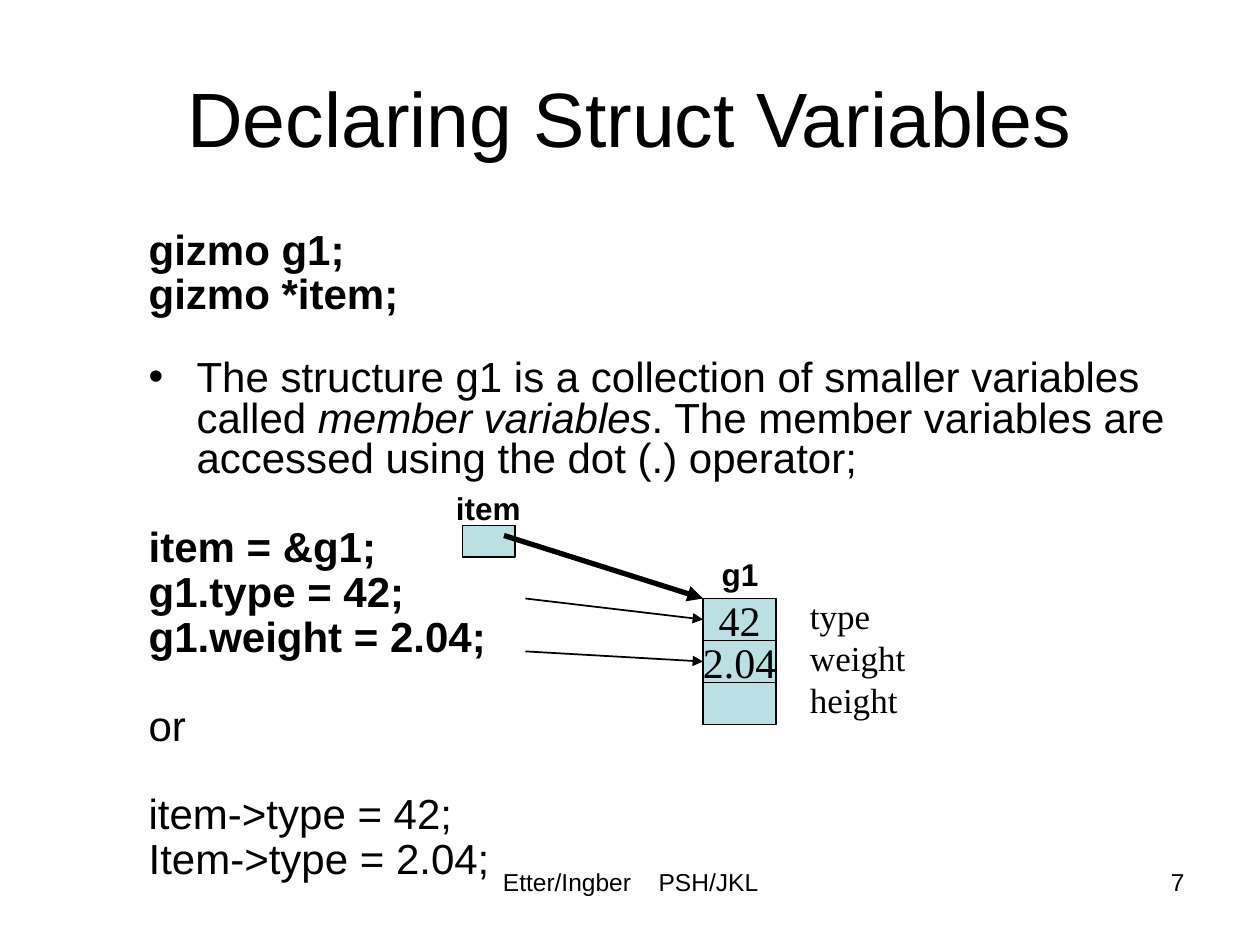
from dataclasses import dataclass
from lxml import etree
from pptx import Presentation
from pptx.dml.color import RGBColor
from pptx.enum.shapes import MSO_CONNECTOR, MSO_SHAPE
from pptx.enum.text import MSO_ANCHOR, MSO_AUTO_SIZE, PP_ALIGN
from pptx.oxml.ns import qn
from pptx.util import Inches, Pt

LEFT, CENTER, RIGHT = PP_ALIGN.LEFT, PP_ALIGN.CENTER, PP_ALIGN.RIGHT
MIDDLE = MSO_ANCHOR.MIDDLE
FIXED, GROW = MSO_AUTO_SIZE.NONE, MSO_AUTO_SIZE.SHAPE_TO_FIT_TEXT
RECT, LINE = MSO_SHAPE.RECTANGLE, MSO_CONNECTOR.STRAIGHT


@dataclass
class Theme:
    ink = RGBColor(0x00, 0x00, 0x00)
    cell = RGBColor(0xBB, 0xE0, 0xE3)
    sans = "Arial"
    serif = "Times New Roman"
    title = 44
    body = 24
    field = 20
    label = 18
    foot = 14


theme = Theme()


def write(para, text, size=theme.body, font=theme.sans, bold=False,
          italic=False, align=LEFT):
    para.alignment = align
    run = para.add_run()
    run.text = text
    run.font.size = Pt(size)
    run.font.name = font
    run.font.bold = bold
    run.font.italic = italic
    run.font.color.rgb = theme.ink
    return run


def place(shape, left, top, width, height):
    shape.left, shape.top = Inches(left), Inches(top)
    shape.width, shape.height = Inches(width), Inches(height)


deck = Presentation()
deck.slide_width, deck.slide_height = Inches(10), Inches(7.5)
slide = deck.slides.add_slide(deck.slide_layouts[1])
shapes = slide.shapes

# Title
title = shapes.title
place(title, 0.5, 0.3, 9, 1.25)
title.text_frame.vertical_anchor = MIDDLE
write(title.text_frame.paragraphs[0], "Declaring Struct Variables",
      size=theme.title, align=CENTER)

# Body: code lines around one bullet; a wide gap opens each new group
body = slide.placeholders[1]
place(body, 1.08, 1.83, 8.5, 5.15)
frame = body.text_frame
frame.auto_size = FIXED
near, far = 5.5, 30.4
bold, italic = {"bold": True}, {"italic": True}
lines = [
    (near, 0.7, [("gizmo g1;", bold)]),
    (near, 0.7, [("gizmo *item;", bold)]),
    (far - near, 0.8, [
        ("The structure g1 is a collection of smaller variables called ", {}),
        ("member variables", italic),
        (". The member variables are accessed using the dot (.) operator;", {}),
    ]),
    (far, 0.7, [("item = &g1;", bold)]),
    (near, 0.7, [("g1.type = 42;", bold)]),
    (near, 0.7, [("g1.weight = 2.04;", bold)]),
    (far, 0.7, [("or", {})]),
    (far, 0.7, [("item->type = 42;", {})]),
    (near, 0.7, [("Item->type = 2.04;", {})]),
]
for i, (gap, pitch, runs) in enumerate(lines):
    para = frame.add_paragraph() if i else frame.paragraphs[0]
    para.space_before, para.line_spacing = Pt(gap), pitch
    for text, look in runs:
        write(para, text, **look)
    props = para._p.get_or_add_pPr()
    props.set("marL", str(Inches(0.38)))
    props.set("indent", str(-Inches(0.38)))
    if len(runs) > 1:
        etree.SubElement(props, qn("a:buChar")).set("char", "•")
    else:
        etree.SubElement(props, qn("a:buNone"))

# Memory cells: the g1 column, then the pointer
wide, step, col, top = 0.58, 1 / 3, 5.58, 4.75
cells = [(col, top + i * step, wide, step, text)
         for i, text in enumerate(["42", "2.04", ""])]
cells.append((3.67, 4.17, 0.42, 0.25, ""))
boxes = []
for x, y, w, h, text in cells:
    box = shapes.add_shape(RECT, Inches(x), Inches(y), Inches(w), Inches(h))
    box.shadow.inherit = False
    box.fill.solid()
    box.fill.fore_color.rgb = theme.cell
    box.line.color.rgb = theme.ink
    box.line.width = Pt(1)
    if text:
        box.text_frame.word_wrap = False
        box.text_frame.vertical_anchor = MIDDLE
        write(box.text_frame.paragraphs[0], text, font=theme.serif,
              align=CENTER)
    boxes.append(box)

# Arrows: two to the filled cells, a heavy one from the pointer to g1
arrows = [
    (4.17, 4.75, top + step / 2, 1, boxes[0]),
    (4.17, 5.17, top + 1.5 * step, 1, boxes[1]),
    (4, 4.25, top, 3, None),
]
for x, y, end, weight, goal in arrows:
    arrow = shapes.add_connector(LINE, Inches(x), Inches(y),
                                 Inches(col), Inches(end))
    if goal:
        arrow.end_connect(goal, 1)
    arrow.line.color.rgb = theme.ink
    arrow.line.width = Pt(weight)
    etree.SubElement(arrow.line._get_or_add_ln(),
                     qn("a:tailEnd")).set("type", "triangle")
    etree.SubElement(arrow._element.spPr, qn("a:effectLst"))

# Field names, cell labels and page number
field = {"size": theme.field, "font": theme.serif}
label = {"size": theme.label, "bold": True}
foot = {"size": theme.foot}
notes = [(6.33, 4.67 + i * step, 1.25, 0.43, text, field)
         for i, text in enumerate(["type", "weight", "height"])]
notes += [
    (5.63, 4.36, 0.83, 0.4, "g1", label),
    (3.52, 3.83, 0.83, 0.4, "item", label),
    (7.17, 6.83, 2.33, 0.52, "7", {**foot, "align": RIGHT}),
    (3.42, 6.83, 3.17, 0.52, "Etter/Ingber", {**foot, "align": CENTER}),
]
for x, y, w, h, text, look in notes:
    note = shapes.add_textbox(Inches(x), Inches(y), Inches(w), Inches(h))
    note.text_frame.word_wrap = True
    note.text_frame.auto_size = FIXED if look["size"] == theme.foot else GROW
    write(note.text_frame.paragraphs[0], text, **look)

# The footer, placed last, goes on after a widened space
para = note.text_frame.paragraphs[0]
space = write(para, " ", **look)
space._r.get_or_add_rPr().set("spc", "1170")
write(para, "PSH/JKL", **look)

deck.save("out.pptx")
